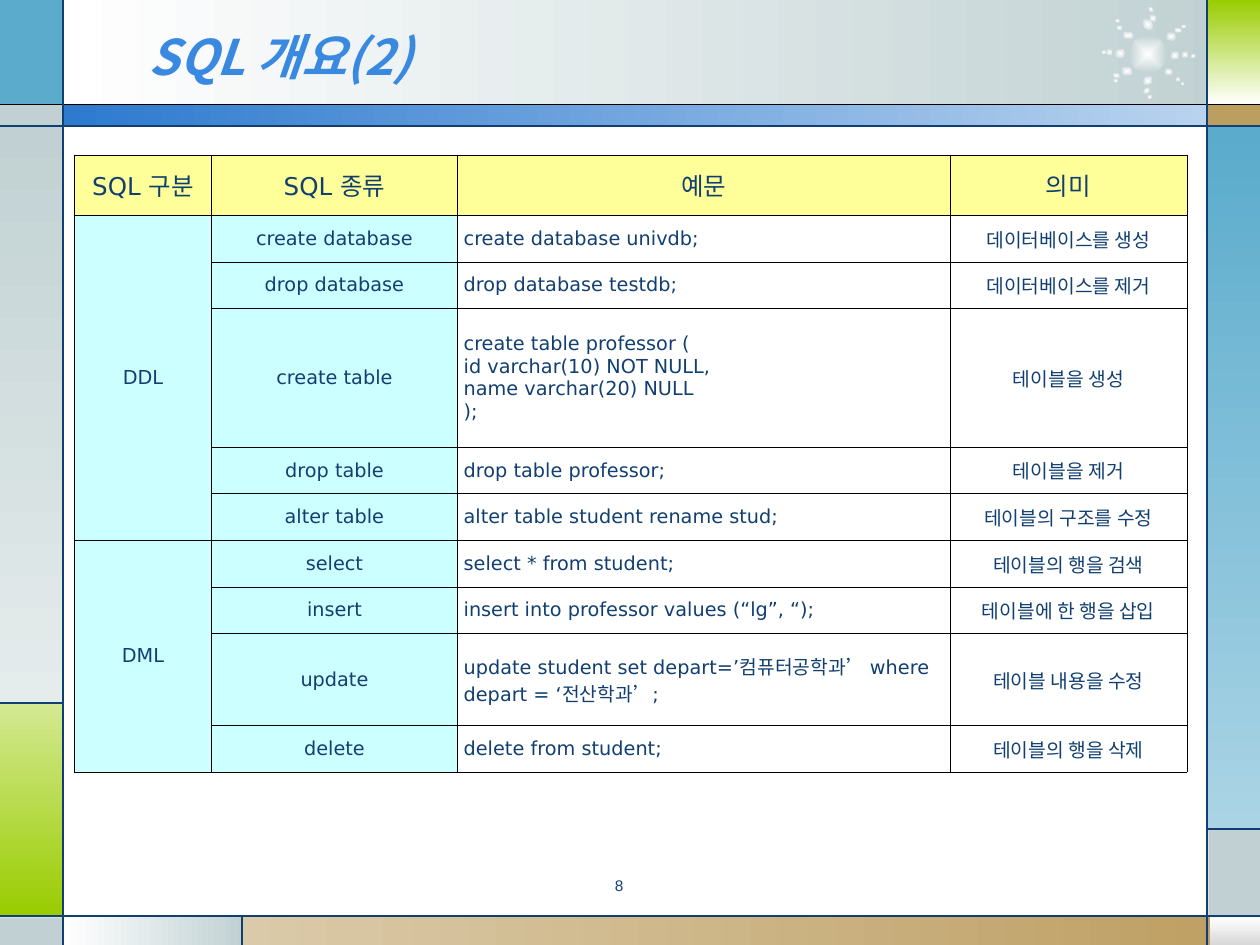
from lxml import etree
from pptx import Presentation
from pptx import util as u
from pptx.dml.color import RGBColor
from pptx.enum import shapes, text
from pptx.oxml.ns import qn

WHITE = RGBColor(0xFF, 0xFF, 0xFF)
BLACK = RGBColor(0, 0, 0)
NAVY = RGBColor(0x11, 0x3F, 0x71)
BLUE = RGBColor(0x39, 0x89, 0xE1)
DEEP = RGBColor(0x2D, 0x7A, 0xCF)
PALE = RGBColor(0xB9, 0xD3, 0xEF)
SKY = RGBColor(0x5A, 0xAB, 0xCC)
MIST = RGBColor(0xAA, 0xD4, 0xE5)
GREY = RGBColor(0xC1, 0xD1, 0xD3)
FOG = RGBColor(0xE5, 0xEC, 0xEC)
ASH = RGBColor(0xD8, 0xD8, 0xD8)
LIME = RGBColor(0x99, 0xCC, 0x00)
LEAF = RGBColor(0xD4, 0xE9, 0x93)
TAN = RGBColor(0xBD, 0x9E, 0x61)
SAND = RGBColor(0xDB, 0xCA, 0xA9)
YELLOW = RGBColor(0xFF, 0xFF, 0x99)
AQUA = RGBColor(0xCC, 0xFF, 0xFF)

SANS, HANGUL = "DejaVu Sans", "Noto Sans CJK KR"
LEFT, CENTER = text.PP_ALIGN.LEFT, text.PP_ALIGN.CENTER
RECT, OVAL = shapes.MSO_SHAPE.RECTANGLE, shapes.MSO_SHAPE.OVAL
ACROSS, DOWN = 0, 270

# Backdrop tiles: left, top, width, height, colours, gradient angle
TILES = [
    (0.5, 0, 9.27, 0.84, (WHITE, GREY), ACROSS),
    (0, 0, 0.5, 0.84, (SKY,), None),
    (0, 0.83, 0.5, 0.17, (GREY,), None),
    (0, 1, 0.5, 4.58, (GREY, FOG), DOWN),
    (0, 5.58, 0.5, 1.69, (LEAF, LIME), DOWN),
    (0, 7.28, 0.5, 0.22, (GREY,), None),
    (0.5, 7.27, 1.43, 0.23, (WHITE, GREY), ACROSS),
    (1.92, 7.27, 8.08, 0.23, (SAND, TAN), ACROSS),
    (9.6, 7.28, 0.4, 0.22, (WHITE, ASH), DOWN),
    (9.59, 6.58, 0.41, 0.7, (GREY,), None),
    (9.58, 1, 0.42, 5.58, (SKY, MIST), DOWN),
    (9.58, 0.83, 0.42, 0.17, (TAN,), None),
    (9.59, 0, 0.41, 0.83, (LIME, WHITE), DOWN),
    (0.5, 0.83, 9.09, 0.17, (DEEP, PALE), ACROSS),
]
# Starburst rays: turn, then the dots on that ray
RAYS = [
    (2.5, [(8.96, 0.28, 0.3, 0.3)]),
    (5.6, [(9.33, 0.61, 0.04, 0.04), (9.37, 0.65, 0.03, 0.03), (9.24, 0.54, 0.07, 0.06)]),
    (324.9, [(9.38, 0.41, 0.05, 0.05), (9.45, 0.43, 0.04, 0.03), (9.29, 0.41, 0.07, 0.06)]),
    (282.6, [(9.33, 0.21, 0.04, 0.06), (9.38, 0.19, 0.03, 0.04), (9.26, 0.25, 0.07, 0.08)]),
    (48.5, [(9.08, 0.69, 0.04, 0.06), (9.11, 0.75, 0.03, 0.04), (9.08, 0.6, 0.06, 0.08)]),
    (228.5, [(9.12, 0.12, 0.06, 0.05), (9.11, 0.06, 0.05, 0.03), (9.06, 0.16, 0.1, 0.07)]),
    (192.2, [(8.86, 0.2, 0.05, 0.04), (8.85, 0.15, 0.04, 0.03), (8.91, 0.25, 0.09, 0.06)]),
    (148.1, [(8.78, 0.39, 0.05, 0.05), (8.74, 0.4, 0.04, 0.03), (8.85, 0.39, 0.08, 0.07)]),
    (109.3, [(8.84, 0.57, 0.04, 0.06), (8.84, 0.62, 0.03, 0.04), (8.91, 0.52, 0.07, 0.09)]),
]
RULES = [
    (0, 0.83, 10, 0.83, BLACK), (0, 1, 10, 1, NAVY), (0, 7.27, 10, 7.27, NAVY),
    (0.5, 0, 0.5, 7.5, NAVY), (9.58, 0, 9.58, 7.5, NAVY), (0, 5.58, 0.5, 5.58, NAVY),
    (1.92, 7.27, 1.92, 7.5, NAVY), (9.58, 6.58, 10, 6.58, NAVY),
]
COLS = [1.09, 1.95, 3.91, 1.88]
HIGH = [0.48, 0.37, 0.37, 1.1, 0.37, 0.37, 0.37, 0.37, 0.73, 0.37]
ROWS = [
    ("SQL 구분", "SQL 종류", "예문", "의미"),
    ("DDL", "create database", "create database univdb;", "데이터베이스를 생성"),
    ("", "drop database", "drop database testdb;", "데이터베이스를 제거"),
    ("", "create table",
     "create table professor (\nid varchar(10) NOT NULL,\nname varchar(20) NULL\n);",
     "테이블을 생성"),
    ("", "drop table", "drop table professor;", "테이블을 제거"),
    ("", "alter table", "alter table student rename stud;", "테이블의 구조를 수정"),
    ("DML", "select", "select * from student;", "테이블의 행을 검색"),
    ("", "insert", "insert into professor values (“lg”, “);", "테이블에 한 행을 삽입"),
    ("", "update", "update student set depart=’컴퓨터공학과’ where depart = ‘전산학과’;",
     "테이블 내용을 수정"),
    ("", "delete", "delete from student;", "테이블의 행을 삭제"),
]
SPANS = [(1, 5), (6, 9)]


class Board:
    """Holds the slide and draws each kind of element in one style."""

    def __init__(self, slide):
        self.slide = slide
        self.shapes = slide.shapes

    def style(self, frame, size, color, font=SANS, align=LEFT, bold=False, slant=False):
        for para in frame.paragraphs:
            para.alignment = align
            for run in para.runs:
                face = run.font
                face.size, face.name = u.Pt(size), font
                face.bold, face.italic = bold, slant
                face.color.rgb = color
                east = etree.SubElement(run._r.get_or_add_rPr(), qn("a:ea"))
                east.set("typeface", HANGUL)

    def block(self, kind, box, tones, angle=None):
        item = self.shapes.add_shape(kind, *map(u.Inches, box))
        item.shadow.inherit = False
        item.line.fill.background()
        if len(tones) == 1:
            item.fill.solid()
            item.fill.fore_color.rgb = tones[0]
            return item
        item.fill.gradient()
        item.fill.gradient_angle = angle or 0
        for stop, tone in zip(item.fill.gradient_stops, tones):
            stop.color.rgb = tone
        return item

    def dot(self, box, turn):
        item = self.block(OVAL, box, (WHITE, GREY))
        item.rotation = turn
        # Let the gradient spread from the centre
        grad = item._element.spPr.find(qn("a:gradFill"))
        grad.remove(grad.find(qn("a:lin")))
        glow = etree.SubElement(grad, qn("a:path"), {"path": "rect"})
        etree.SubElement(glow, qn("a:fillToRect"), dict.fromkeys("ltrb", "50000"))

    def rule(self, x1, y1, x2, y2, color):
        ends = map(u.Inches, (x1, y1, x2, y2))
        line = self.shapes.add_connector(shapes.MSO_CONNECTOR.STRAIGHT, *ends)
        line.line.color.rgb, line.line.width = color, u.Pt(0.75)
        etree.SubElement(line._element.spPr, qn("a:effectLst"))

    def title(self, words, box):
        head = self.shapes.title
        head.left, head.top, head.width, head.height = map(u.Inches, box)
        frame = head.text_frame
        frame.text = words
        frame.auto_size = text.MSO_AUTO_SIZE.NONE
        frame.vertical_anchor = text.MSO_ANCHOR.MIDDLE
        self.style(frame, 28, BLUE, HANGUL, bold=True, slant=True)
        self.shapes._spTree.append(head._element)  # above the backdrop

    def label(self, words, box, size):
        frame = self.shapes.add_textbox(*map(u.Inches, box)).text_frame
        frame.word_wrap = True
        frame.text = words
        frame.paragraphs[0].line_spacing = 0.8
        self.style(frame, size, NAVY, "Arial", CENTER)

    def cell(self, cell, words, size, align, tone):
        cell.margin_left = cell.margin_right = u.Inches(0.05)
        cell.margin_top = cell.margin_bottom = u.Inches(0.05)
        cell.vertical_anchor = text.MSO_ANCHOR.MIDDLE
        cell.text_frame.text = words
        self.style(cell.text_frame, size, NAVY, align=align)
        props = cell._tc.get_or_add_tcPr()
        for side in ("a:lnL", "a:lnR", "a:lnT", "a:lnB"):
            edge = etree.SubElement(props, qn(side), {"w": str(u.Pt(0.45))})
            fill = etree.SubElement(edge, qn("a:solidFill"))
            etree.SubElement(fill, qn("a:srgbClr"), {"val": str(BLACK)})
        cell.fill.solid()
        cell.fill.fore_color.rgb = tone

    def table(self, left, top):
        size = map(u.Inches, (left, top, sum(COLS), sum(HIGH)))
        grid = self.shapes.add_table(len(ROWS), len(COLS), *size).table
        grid.first_row = grid.horz_banding = False
        for col, width in zip(grid.columns, COLS):
            col.width = u.Inches(width)
        for r, (row, high) in enumerate(zip(ROWS, HIGH)):
            grid.rows[r].height = u.Inches(high)
            for c, words in enumerate(row):
                tone = YELLOW if r == 0 else AQUA if c < 2 else WHITE
                align = LEFT if r and c == 2 else CENTER
                self.cell(grid.cell(r, c), words, 11 if r else 14, align, tone)
        for first, last in SPANS:
            grid.cell(first, 0).merge(grid.cell(last, 0))


def main():
    deck = Presentation()
    deck.slide_width, deck.slide_height = u.Inches(10), u.Inches(7.5)
    board = Board(deck.slides.add_slide(deck.slide_layouts[5]))
    # Backdrop
    for *box, tones, angle in TILES:
        board.block(RECT, box, tones, angle)
    for turn, dots in RAYS:
        for box in dots:
            board.dot(box, turn)
    for rule in RULES:
        board.rule(*rule)
    # Content
    board.title("SQL 개요(2)", (1.08, 0.13, 7.33, 0.62))
    board.label("8", (3.75, 6.93, 2.33, 0.27), 8.8)
    board.table(0.59, 1.23)
    deck.save("out.pptx")


if __name__ == "__main__":
    main()
